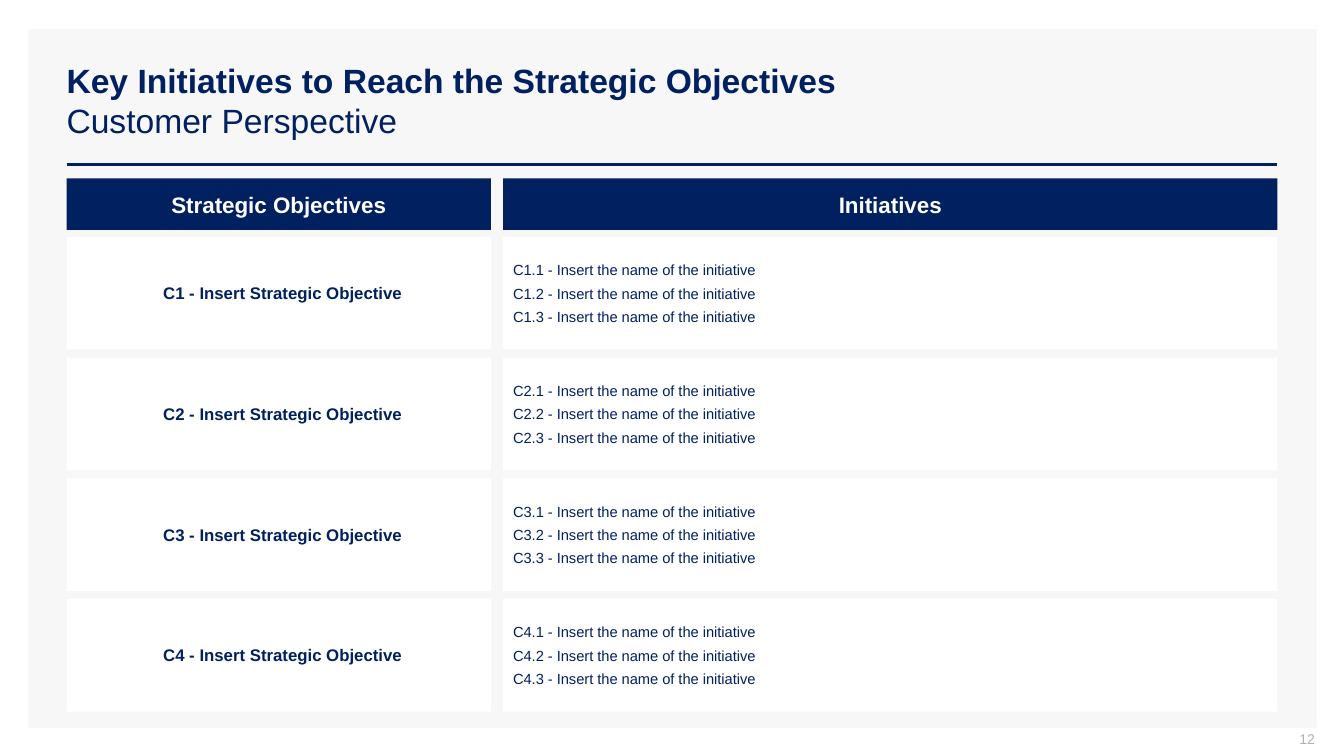
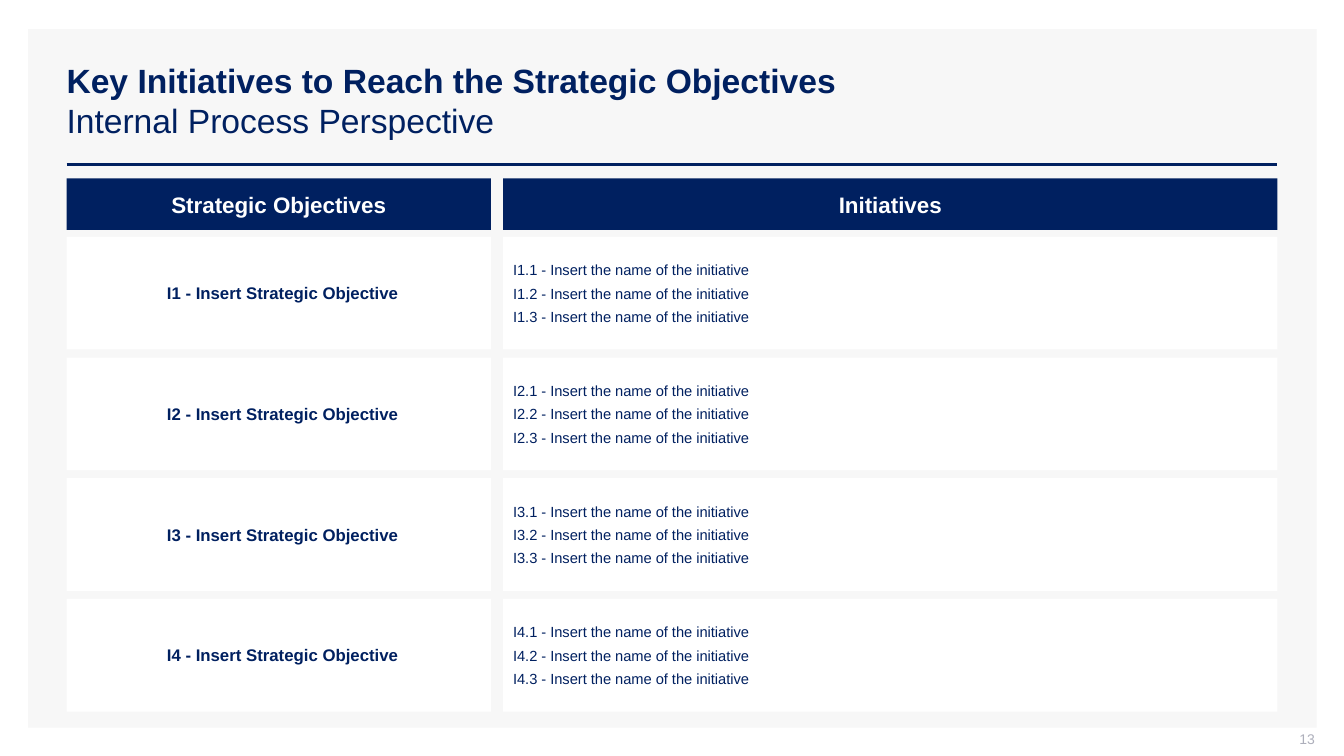
"""Build the two strategic initiative slides, one for each perspective."""
from pptx import Presentation
from pptx.dml.color import RGBColor
from pptx.enum.shapes import MSO_CONNECTOR, MSO_SHAPE
from pptx.enum.text import MSO_ANCHOR, MSO_AUTO_SIZE, PP_ALIGN
from pptx.oxml.ns import qn
from pptx.util import Inches, Pt
from lxml.etree import SubElement

NAVY = RGBColor(0x00, 0x20, 0x60)
WHITE = RGBColor(0xFF, 0xFF, 0xFF)
PANEL_GREY = RGBColor(0xF7, 0xF7, 0xF7)
NUMBER_GREY = RGBColor(0xAD, 0xAF, 0xBB)
FONT = "Arial"

LEFT, RIGHT = 0.66, 12.67
COLUMN_GAP, ROW_GAP = 0.12, 0.08
OBJECTIVE_WIDTH = 4.21
INITIATIVE_LEFT = LEFT + OBJECTIVE_WIDTH + COLUMN_GAP
COLUMNS = [(LEFT, OBJECTIVE_WIDTH), (INITIATIVE_LEFT, RIGHT - INITIATIVE_LEFT)]
HEADINGS = ["Strategic Objectives", "Initiatives"]
HEADER_TOP, HEADER_HEIGHT = 1.77, 0.51
ROWS_TOP, ROWS_BOTTOM = 2.35, 7.06
ROW_COUNT, INITIATIVE_COUNT = 4, 3
ROW_PITCH = (ROWS_BOTTOM - ROWS_TOP + ROW_GAP) / ROW_COUNT
CELL_INSETS = (0.1, 0.05, 0.02, 0.05)
FIRST_NUMBER = 12
PERSPECTIVES = [("Customer Perspective", "C"), ("Internal Process Perspective", "I")]


def write(text_frame, text, size, color=NAVY, bold=False, align=PP_ALIGN.LEFT,
          spacing=0, insets=(0.1, 0.05, 0.1, 0.05)):
    """Fill a text frame with one paragraph for each line of text."""
    text_frame.word_wrap = True
    text_frame.vertical_anchor = MSO_ANCHOR.MIDDLE
    (text_frame.margin_left, text_frame.margin_top,
     text_frame.margin_right, text_frame.margin_bottom) = map(Inches, insets)
    text_frame.text = text
    for paragraph in text_frame.paragraphs:
        paragraph.alignment = align
        paragraph.space_before = paragraph.space_after = Pt(spacing)
        for run in paragraph.runs:
            run.font.name = FONT
            run.font.size = Pt(size)
            run.font.bold = bold
            run.font.color.rgb = color


def add_box(slide, left, top, width, height, fill):
    """Add a flat rectangle without an outline."""
    shape = slide.shapes.add_shape(MSO_SHAPE.RECTANGLE, Inches(left), Inches(top),
                                   Inches(width), Inches(height))
    shape.shadow.inherit = False
    shape.fill.solid()
    shape.fill.fore_color.rgb = fill
    shape.line.fill.background()
    return shape


presentation = Presentation()
presentation.slide_width = Inches(13.33)
presentation.slide_height = Inches(7.5)
layout = presentation.slide_layouts.get_by_name("Title Only")

for index, (perspective, code) in enumerate(PERSPECTIVES):
    slide = presentation.slides.add_slide(layout)

    if index == 0:
        panel = add_box(slide, 0.28, 0.29, 12.78, 6.93, PANEL_GREY)
        rule = slide.shapes.add_connector(MSO_CONNECTOR.STRAIGHT, Inches(LEFT), Inches(1.63),
                                          Inches(RIGHT), Inches(1.63))
        rule.line.color.rgb = NAVY
        rule.line.width = Pt(2)
        SubElement(rule.element.spPr, qn("a:effectLst"))
        for position, shape in enumerate([panel, rule], start=2):
            layout.shapes.element.insert(position, shape.element)

    title = slide.shapes.title
    title.left, title.top = Inches(0.56), Inches(0.4)
    title.width, title.height = Inches(12.11), Inches(1.19)
    write(title.text_frame, f"Key Initiatives to Reach the Strategic Objectives\v{perspective}",
          size=24, bold=True)
    title.text_frame.auto_size = MSO_AUTO_SIZE.NONE
    title.text_frame.paragraphs[0].runs[1].font.bold = False

    number = slide.shapes.add_textbox(Inches(10.04), Inches(7.25), Inches(3), Inches(0.21))
    write(number.text_frame, str(FIRST_NUMBER + index), size=10, color=NUMBER_GREY,
          align=PP_ALIGN.RIGHT, insets=(0.1, 0, 0, 0.05))

    for heading, (left, width) in zip(HEADINGS, COLUMNS):
        header = add_box(slide, left, HEADER_TOP, width, HEADER_HEIGHT, NAVY)
        write(header.text_frame, heading, size=16, color=WHITE, bold=True,
              align=PP_ALIGN.CENTER)

    for row in range(ROW_COUNT):
        name = f"{code}{row + 1}"
        objective, initiatives = [
            add_box(slide, left, ROWS_TOP + row * ROW_PITCH, width, ROW_PITCH - ROW_GAP, WHITE)
            for left, width in COLUMNS
        ]
        write(objective.text_frame, f"{name} - Insert Strategic Objective", size=12, bold=True,
              align=PP_ALIGN.CENTER, spacing=1, insets=CELL_INSETS)
        lines = [f"{name}.{item} - Insert the name of the initiative"
                 for item in range(1, INITIATIVE_COUNT + 1)]
        write(initiatives.text_frame, "\n".join(lines), size=10.5, spacing=2,
              insets=CELL_INSETS)

presentation.save("out.pptx")
